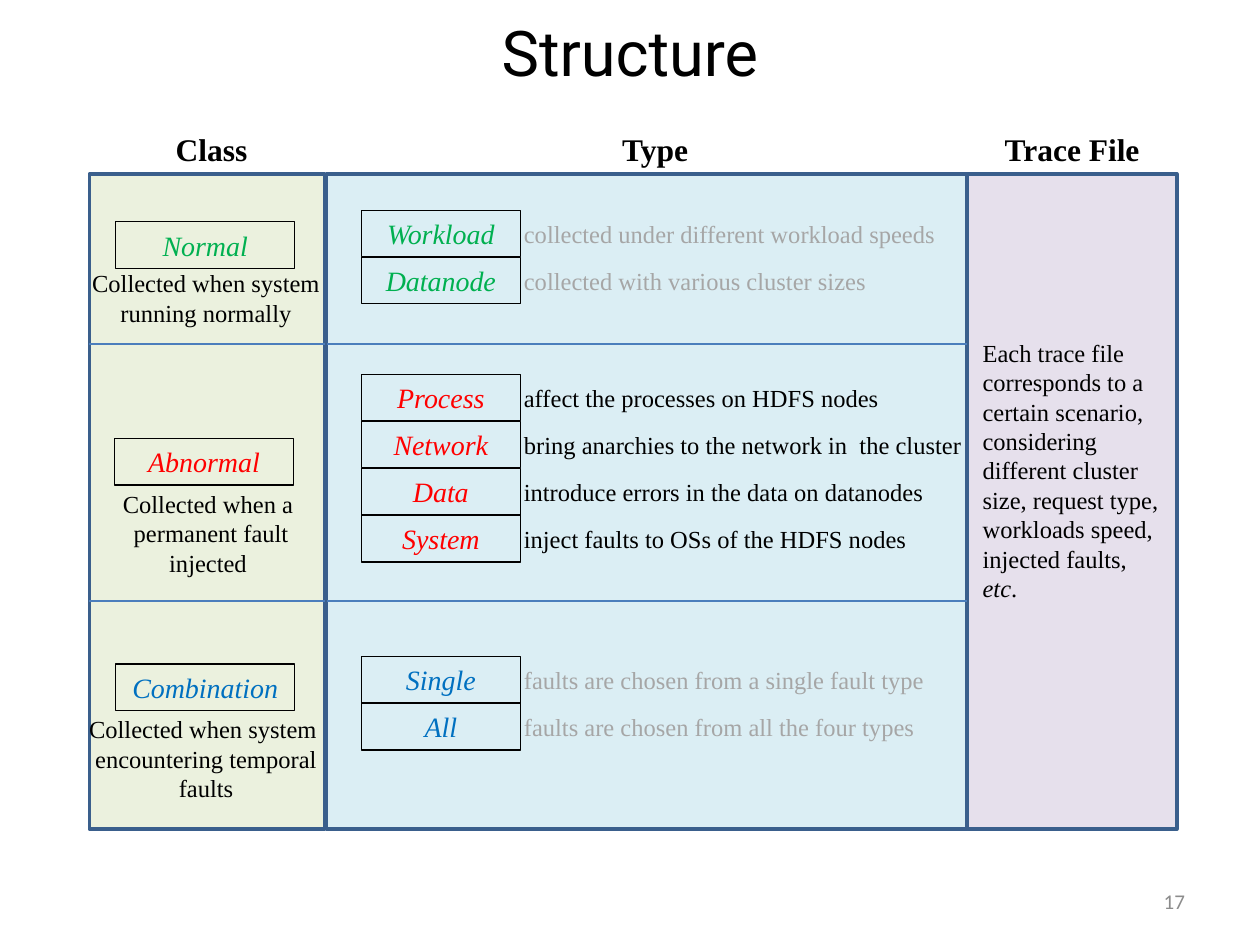
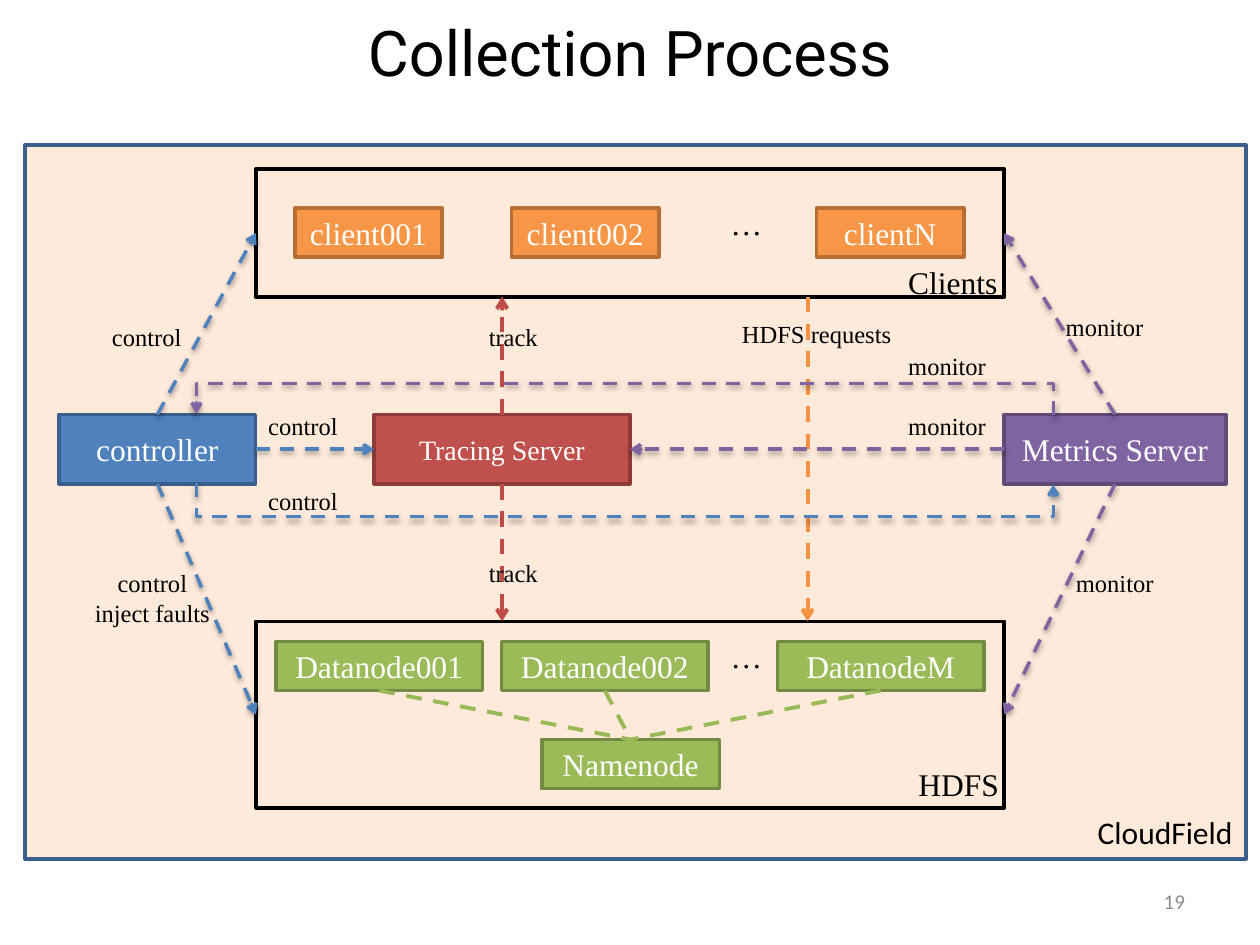
from lxml.etree import SubElement
from pptx import Presentation
from pptx.dml.color import RGBColor
from pptx.enum.dml import MSO_LINE_DASH_STYLE as Dash
from pptx.enum.shapes import MSO_CONNECTOR as Link, MSO_SHAPE as Shape
from pptx.enum.text import MSO_ANCHOR as Anchor, MSO_AUTO_SIZE as AutoSize, PP_ALIGN as Align
from pptx.oxml.ns import qn
from pptx.util import Pt

BLACK = RGBColor(0x00, 0x00, 0x00)
WHITE = RGBColor(0xFF, 0xFF, 0xFF)
GREY = RGBColor(0xA6, 0xA6, 0xA6)
NUMBER_GREY = RGBColor(0x8C, 0x8C, 0x8C)
NORMAL_GREEN = RGBColor(0x00, 0xB0, 0x50)
FAULT_RED = RGBColor(0xFF, 0x00, 0x00)
MIXED_BLUE = RGBColor(0x00, 0x70, 0xC0)
NAVY = RGBColor(0x3A, 0x5F, 0x8C)
DIVIDER = RGBColor(0x4B, 0x7E, 0xBC)
PALE_GREEN = RGBColor(0xEB, 0xF1, 0xDE)
PALE_BLUE = RGBColor(0xDB, 0xEE, 0xF4)
PALE_PURPLE = RGBColor(0xE6, 0xE0, 0xEC)
PALE_ORANGE = RGBColor(0xFD, 0xEA, 0xDA)
BLUE = RGBColor(0x4F, 0x81, 0xBD)
PURPLE = RGBColor(0x80, 0x64, 0xA2)
DARK_PURPLE = RGBColor(0x5F, 0x4A, 0x78)
RED = RGBColor(0xC0, 0x50, 0x4D)
DARK_RED = RGBColor(0x8E, 0x3B, 0x39)
RED_LINE = RGBColor(0xBF, 0x4C, 0x48)
ORANGE = RGBColor(0xF7, 0x96, 0x46)
DARK_ORANGE = RGBColor(0xB7, 0x6F, 0x34)
ORANGE_LINE = RGBColor(0xF6, 0x92, 0x40)
GREEN = RGBColor(0x9B, 0xBB, 0x59)
DARK_GREEN = RGBColor(0x73, 0x8A, 0x42)
GREEN_LINE = RGBColor(0x98, 0xB9, 0x55)

SERIF, SANS, TITLE_FONT = "Times New Roman", "Calibri", "Roboto"

COLUMNS = [
    ("Trace File", 612.7, 553, 119.5, PALE_PURPLE, False),
    ("Type", 374.4, 186.5, 366, PALE_BLUE, True),
    ("Class", 120.9, 51.1, 134.7, PALE_GREEN, True),
]
PANEL_TOP, PANEL_HEIGHT = 99.4, 374.4
DIVIDER_TOPS = [196.6, 343.4]
TAG_HEIGHT, TAG_PITCH = 26.6, 26.9

CLASSES = [
    ("Normal", NORMAL_GREEN, 66.2, 126.7, "Collected when system\nrunning normally", 42.5, 149.8),
    ("Abnormal", FAULT_RED, 65.5, 250.6,
     "Collected when a \npermanent fault injected ", 45.4, 275.8),
    ("Combination", MIXED_BLUE, 66.2, 379.4,
     "Collected when system \nencountering temporal faults", 42.5, 404.6),
]
TYPES = [
    (120.2, NORMAL_GREEN, GREY, [
        ("Workload", "collected under different workload speeds"),
        ("Datanode", "collected with various cluster sizes")]),
    (213.9, FAULT_RED, BLACK, [
        ("Process", "affect the processes on HDFS nodes"),
        ("Network", "bring anarchies to the network in  the cluster"),
        ("Data", "introduce errors in the data on datanodes"),
        ("System", "inject faults to OSs of the HDFS nodes")]),
    (375.1, MIXED_BLUE, GREY, [
        ("Single", "faults are chosen from a single fault type"),
        ("All", "faults are chosen from all the four types")]),
]
TRACE_NOTE = ("Each trace file corresponds to a certain scenario, considering different "
              "cluster size, request type,\nworkloads speed, injected faults, *etc*.")

CLOUD = (14.4, 82.8, 697.7, 408.2)
FRAMES = {"Clients": (146.2, 96.5, 427.7, 73.4), "HDFS": (146.2, 355, 427.7, 106.6)}
NODE_ROWS = [
    (118.8, 84.2, 28.1, 18, ORANGE, DARK_ORANGE,
     {"client001": 168.5, "client002": 292.3, "clientN": 466.6}),
    (366.5, 118.1, 28.1, 18, GREEN, DARK_GREEN,
     {"Datanode001": 157.7, "Datanode002": 286.6, "DatanodeM": 444.2}),
    (422.6, 101.5, 28.1, 18, GREEN, DARK_GREEN, {"Namenode": 309.6}),
    (236.9, 146.2, 39.6, 16, RED, DARK_RED, {"Tracing Server": 213.8}),
    (236.9, 112.3, 39.6, 18, BLUE, NAVY, {"controller": 33.8}),
    (236.9, 126.7, 39.6, 18, PURPLE, DARK_PURPLE, {"Metrics Server": 573.8}),
]
TOP, LEFT, BOTTOM, RIGHT = range(4)
NAMENODE_LINKS = [((name, BOTTOM), ("Namenode", TOP), GREEN_LINE)
                  for name in ("Datanode001", "Datanode002", "DatanodeM")]
TRAFFIC_LINKS = [
    ((461.5, 169.5), (461.5, 355), ORANGE_LINE),
    (("Tracing Server", TOP), (286.9, 169.5), RED_LINE),
    (("Tracing Server", BOTTOM), (286.9, 355), RED_LINE),
]
CONTROL_LINKS = [
    (("controller", TOP), ("Clients", LEFT), BLUE),
    (("controller", RIGHT), ("Tracing Server", LEFT), BLUE),
    (("controller", BOTTOM), ("HDFS", LEFT), BLUE),
    (("Metrics Server", TOP), ("Clients", RIGHT), PURPLE),
    (("Metrics Server", BOTTOM), ("HDFS", RIGHT), PURPLE),
    (("Metrics Server", LEFT), ("Tracing Server", RIGHT), PURPLE),
]
DETOURS = [(276.5, 1, 19.2, BLUE), (236.9, -1, 18.5, PURPLE)]
DETOUR_LEFT, DETOUR_RIGHT = 112.3, 601.9
LARGE_LABELS = [
    ("…", 410.4, 113, 32.4), ("…", 410.4, 360.7, 32.4),
    ("Clients", 511.9, 146.9, 66.2), ("HDFS", 517.7, 433.4, 61.2),
]
LINK_LABELS = [
    ("HDFS requests", 416.9, 178.6, 100.8),
    ("track", 272.2, 180.7, 42.5), ("track", 272.2, 315.4, 42.5),
    ("control", 56.9, 180.7, 55.4), ("control", 146.2, 231.1, 55.4),
    ("control", 146.2, 274.3, 55.4), ("control\ninject faults", 46.8, 321.1, 80.6),
    ("monitor", 601.9, 175, 61.2), ("monitor", 607.7, 321.1, 61.2),
    ("monitor", 511.9, 231.1, 61.2), ("monitor", 511.9, 197.3, 61.2),
]


def write(frame, text, size, color=BLACK, align=Align.LEFT, anchor=Anchor.TOP, wrap=True,
          **font):
    layout = {"word_wrap": wrap, "vertical_anchor": anchor, "auto_size": AutoSize.NONE}
    for key, value in layout.items():
        setattr(frame, key, value)
    for index, line in enumerate(text.split("\n")):
        para = frame.add_paragraph() if index else frame.paragraphs[0]
        para.alignment = align
        for position, words in enumerate(line.split("*")):
            span = para.add_run()
            span.text = words
            style = {"name": SERIF, "size": Pt(size), "italic": position % 2 == 1, **font}
            for key, value in style.items():
                setattr(span.font, key, value)
            span.font.color.rgb = color


def add_text(page, rect, text, size, **style):
    box = page.shapes.add_textbox(*map(Pt, rect))
    write(box.text_frame, text, size, **style)


def add_box(page, rect, line, weight=2, fill=None):
    box = page.shapes.add_shape(Shape.RECTANGLE, *map(Pt, rect))
    box.shadow.inherit = False
    if fill is None:
        box.fill.background()
    else:
        box.fill.solid()
        box.fill.fore_color.rgb = fill
    box.line.color.rgb = line
    box.line.width = Pt(weight)
    return box


def style_line(line, color, weight, dashed=True, arrow=True, shadow=False):
    line.line.color.rgb = color
    line.line.width = Pt(weight)
    properties = line._element.spPr
    if dashed:
        line.line.dash_style = Dash.DASH
    if arrow:
        SubElement(properties.find(qn("a:ln")), qn("a:tailEnd"), type="arrow")
    effects = SubElement(properties, qn("a:effectLst"))
    if shadow:
        outer = SubElement(effects, qn("a:outerShdw"), blurRad="40000", dist="20000",
                           dir="5400000", rotWithShape="0")
        black = SubElement(outer, qn("a:srgbClr"), val="000000")
        SubElement(black, qn("a:alpha"), val="38000")


def add_line(page, start, end, kind=Link.STRAIGHT):
    return page.shapes.add_connector(kind, *map(Pt, (*start, *end)))


def add_link(page, nodes, start, end, color, weight, **style):
    points = [(0, 0) if place[0] in nodes else place for place in (start, end)]
    line = add_line(page, *points)
    for place, connect in ((start, line.begin_connect), (end, line.end_connect)):
        if place[0] in nodes:
            connect(nodes[place[0]], place[1])
    style_line(line, color, weight, **style)


def add_detour(page, edge, turn, depth, color):
    center = (DETOUR_LEFT + DETOUR_RIGHT) / 2
    reach = turn * (DETOUR_RIGHT - DETOUR_LEFT) / 2
    line = add_line(page, (center + turn / 2, edge - reach),
                    (center - turn / 2, edge + reach), Link.ELBOW)
    properties = line._element.spPr
    properties.find(qn("a:xfrm")).set("rot", "16200000")
    guides = properties.find(qn("a:prstGeom")).find(qn("a:avLst"))
    if guides is None:
        guides = SubElement(properties.find(qn("a:prstGeom")), qn("a:avLst"))
    SubElement(guides, qn("a:gd"), name="adj1", fmla=f"val {round(depth * 100000)}")
    style_line(line, color, 2, shadow=True)


def add_page(deck, title, number):
    page = deck.slides.add_slide(deck.slide_layouts[5])
    heading = page.shapes.title
    place = {"left": 0, "top": 0, "width": 720, "height": 54.7}
    for key, value in place.items():
        setattr(heading, key, Pt(value))
    write(heading.text_frame, title, 36, align=Align.CENTER, anchor=Anchor.BOTTOM,
          name=TITLE_FONT)
    add_text(page, (516.2, 500.4, 168, 28.8), number, 12, color=NUMBER_GREY,
             align=Align.RIGHT, anchor=Anchor.MIDDLE, name=SANS)
    return page


def add_tag(page, left, top, width, text, color):
    tag = add_box(page, (left, top, width, TAG_HEIGHT), BLACK, 0.75)
    write(tag.text_frame, text, 16, color=color, align=Align.CENTER, anchor=Anchor.MIDDLE,
          italic=True)


def build_structure(deck):
    page = add_page(deck, "Structure", "17")
    for name, center, left, width, fill, divided in COLUMNS:
        add_box(page, (left, PANEL_TOP, width, PANEL_HEIGHT), NAVY, fill=fill)
        add_text(page, (center - 51.1, 70.6, 102.2, 28.8), name, 18, align=Align.CENTER,
                 bold=True)
        for top in DIVIDER_TOPS if divided else []:
            line = add_line(page, (left, top), (left + width, top))
            style_line(line, DIVIDER, 0.75, dashed=False, arrow=False)
    for name, color, left, top, note, note_left, note_top in CLASSES:
        add_tag(page, left, top, 102.2, name, color)
        height = 58.3 if len(note) > 40 else 41
        add_text(page, (note_left, note_top, 150.5, height), note, 14, align=Align.CENTER)
    for first_top, color, note_color, members in TYPES:
        for index, (name, note) in enumerate(members):
            top = first_top + index * TAG_PITCH
            add_tag(page, 206.6, top, 90.7, name, color)
            add_text(page, (292.3, top + 1.4, 266.4, 24.5), note, 14, color=note_color)
    add_text(page, (554.4, 189.4, 115.9, 159.8), TRACE_NOTE, 14)


def build_collection(deck):
    page = add_page(deck, "Collection Process", "19")
    add_box(page, CLOUD, NAVY, fill=PALE_ORANGE)
    add_text(page, (592.6, 460.8, 118.8, 28.8), "CloudField", 18, align=Align.RIGHT,
             name=SANS)
    nodes = {name: add_box(page, rect, BLACK) for name, rect in FRAMES.items()}
    for top, width, height, size, fill, line, lefts in NODE_ROWS:
        for name, left in lefts.items():
            nodes[name] = add_box(page, (left, top, width, height), line, fill=fill)
            write(nodes[name].text_frame, name, size, color=WHITE, align=Align.CENTER,
                  anchor=Anchor.MIDDLE)
    for link in NAMENODE_LINKS:
        add_link(page, nodes, *link, 2.25, arrow=False)
    for link in TRAFFIC_LINKS:
        add_link(page, nodes, *link, 2.25)
    for link in CONTROL_LINKS:
        add_link(page, nodes, *link, 2, shadow=True)
    for detour in DETOURS:
        add_detour(page, *detour)
    for size, height, labels in ((18, 28.8, LARGE_LABELS), (14, 24.5, LINK_LABELS)):
        for text, left, top, width in labels:
            align = Align.CENTER if "\n" in text else Align.LEFT
            full_height = height + 16.5 * text.count("\n")
            add_text(page, (left, top, width, full_height), text, size, align=align,
                     wrap=False)


def main():
    deck = Presentation()
    deck.slide_width, deck.slide_height = Pt(720), Pt(540)
    build_structure(deck)
    build_collection(deck)
    deck.save("out.pptx")


if __name__ == "__main__":
    main()
